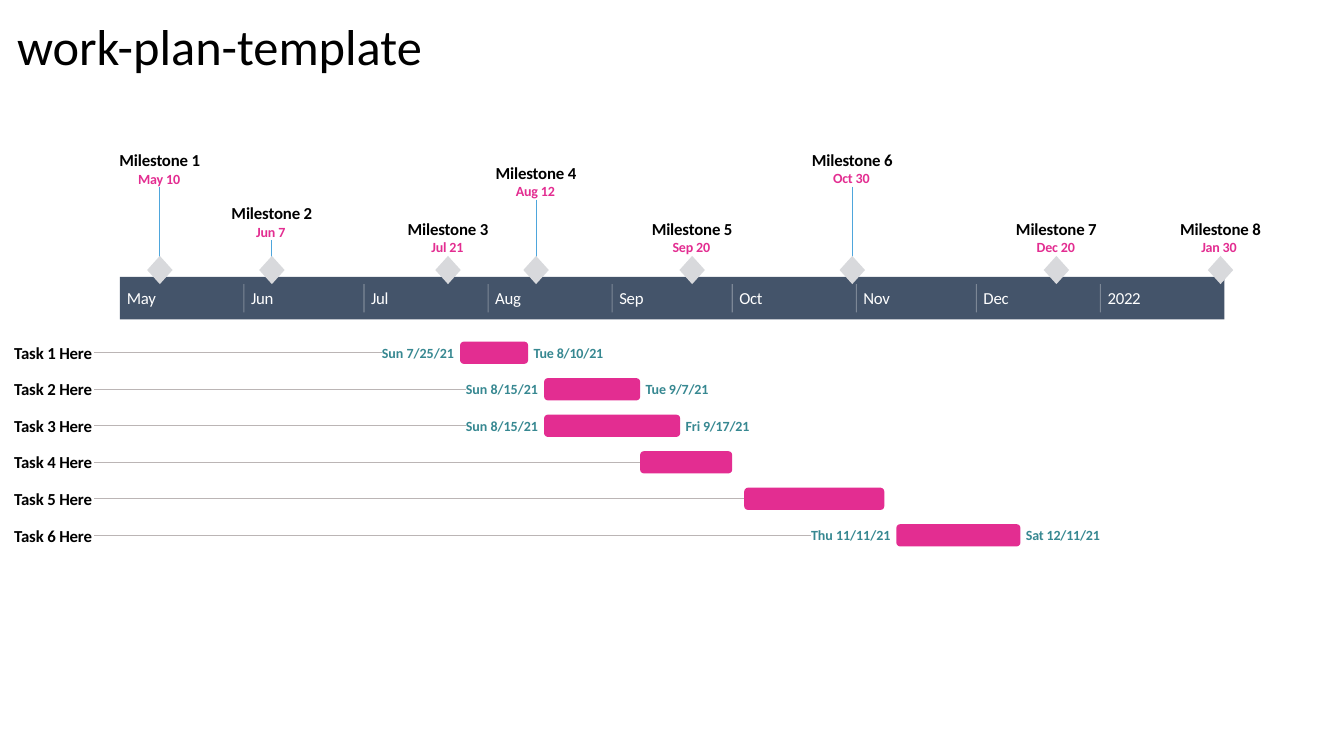
"""Build a work-plan slide with a month band, milestones and task bars."""
import dataclasses
import itertools
import typing

import lxml.etree
import pptx
import pptx.dml.color
import pptx.enum.shapes
import pptx.enum.text
import pptx.oxml.ns
import pptx.util

Cm = pptx.util.Cm
SHAPES = pptx.enum.shapes.MSO_SHAPE
ALIGN = pptx.enum.text.PP_ALIGN

BLACK, WHITE, NAVY = "000000", "FFFFFF", "44546A"
PINK, TEAL, BLUE = "E32D91", "378891", "4EA6DC"
MARKER_GREY, LEADER_GREY = "D8D9DC", "BBB5B5"

BAND_LEFT, BAND_TOP, BAND_WIDTH, BAND_HEIGHT = 3.02, 6.98, 27.84, 1.07
DAY_WIDTH = BAND_WIDTH / 276
MARKER_WIDTH, MARKER_HEIGHT, MARKER_TOP = 0.64, 0.71, 6.45
NAME_HEIGHT, DATE_HEIGHT, TASK_HEIGHT = 0.51, 0.43, 0.56
MILESTONE_WIDTH = 2.08
TASK_LEFT, TASK_WIDTH, TASK_MIDDLE, TASK_STEP = 0.36, 2.01, 8.89, 0.92
DATE_GAP = 0.14


@dataclasses.dataclass
class Month:
    name: str
    days: int
    width: float


@dataclasses.dataclass
class Milestone:
    month: str
    day: int
    width: float
    bottom: float = MARKER_TOP


@dataclasses.dataclass
class DateLabel:
    text: str
    width: float


@dataclasses.dataclass
class Task:
    start: tuple[str, int]
    end: tuple[str, int]
    before: typing.Optional[DateLabel] = None
    after: typing.Optional[DateLabel] = None


MONTHS = [
    Month("May", 31, 0.85), Month("Jun", 30, 0.7), Month("Jul", 31, 0.6),
    Month("Aug", 31, 0.8), Month("Sep", 30, 0.75), Month("Oct", 31, 0.75),
    Month("Nov", 30, 0.8), Month("Dec", 31, 0.8), Month("2022", 31, 1),
]
MONTH_STARTS = dict(zip(
    ["May", "Jun", "Jul", "Aug", "Sep", "Oct", "Nov", "Dec", "Jan"],
    itertools.accumulate((month.days for month in MONTHS), initial=0),
))
MILESTONES = [
    Milestone("May", 10, 1.09, 4.72), Milestone("Jun", 7, 0.79, 6.05),
    Milestone("Jul", 21, 0.84), Milestone("Aug", 12, 1.02, 5.03),
    Milestone("Sep", 20, 0.99), Milestone("Oct", 30, 0.97, 4.7),
    Milestone("Dec", 20, 0.99), Milestone("Jan", 30, 0.97),
]
TASKS = [
    Task(("Jul", 25), ("Aug", 10), DateLabel("Sun 7/25/21", 1.83), DateLabel("Tue 8/10/21", 1.83)),
    Task(("Aug", 15), ("Sep", 7), DateLabel("Sun 8/15/21", 1.83), DateLabel("Tue 9/7/21", 1.65)),
    Task(("Aug", 15), ("Sep", 17), DateLabel("Sun 8/15/21", 1.83), DateLabel("Fri 9/17/21", 1.65)),
    Task(("Sep", 8), ("Sep", 30)),
    Task(("Oct", 4), ("Nov", 7)),
    Task(("Nov", 11), ("Dec", 11), DateLabel("Thu 11/11/21", 2.01), DateLabel("Sat 12/11/21", 1.93)),
]


def color(value: str) -> pptx.dml.color.RGBColor:
    return pptx.dml.color.RGBColor.from_string(value)


def day_start(month: str, day: int) -> float:
    return BAND_LEFT + (MONTH_STARTS[month] + day - 1) * DAY_WIDTH


def add_text(page, text: str, left: float, top: float, width: float, height: float, *,
             size: float = 12, fill: str = BLACK, bold: bool = True, align=ALIGN.LEFT,
             inset: float = 0, wrap: bool = False, spacing: int = -10):
    box = page.shapes.add_textbox(Cm(left), Cm(top), Cm(width), Cm(height))
    frame = box.text_frame
    frame.word_wrap = wrap
    frame.vertical_anchor = pptx.enum.text.MSO_ANCHOR.MIDDLE
    frame.margin_left = frame.margin_right = Cm(inset)
    frame.margin_top = frame.margin_bottom = Cm(inset / 2)
    para = frame.paragraphs[0]
    para.alignment = align
    span = para.add_run()
    span.text = text
    span.font.name = "Calibri"
    span.font.size = pptx.util.Pt(size)
    span.font.bold = bold
    span.font.color.rgb = color(fill)
    span._r.get_or_add_rPr().set("spc", str(spacing))
    return box


def add_block(page, kind, left: float, top: float, width: float, height: float, fill: str):
    block = page.shapes.add_shape(kind, Cm(left), Cm(top), Cm(width), Cm(height))
    block.shadow.inherit = False
    block.fill.solid()
    block.fill.fore_color.rgb = color(fill)
    block.line.fill.background()
    return block


def add_line(page, start: tuple[float, float], end: tuple[float, float], fill: str,
             opacity: int = 100):
    line = page.shapes.add_connector(
        pptx.enum.shapes.MSO_CONNECTOR.STRAIGHT, *map(Cm, start + end))
    line.line.width = pptx.util.Pt(0.75)
    line.line.color.rgb = color(fill)
    qualified = pptx.oxml.ns.qn
    properties = line._element.spPr
    if opacity < 100:
        tint = properties.find(".//" + qualified("a:srgbClr"))
        lxml.etree.SubElement(tint, qualified("a:alpha")).set("val", str(opacity * 1000))
    lxml.etree.SubElement(properties, qualified("a:effectLst"))
    return line


def add_band(page) -> None:
    add_block(page, SHAPES.RECTANGLE, BAND_LEFT, BAND_TOP, BAND_WIDTH, BAND_HEIGHT, NAVY)
    for month, start in zip(MONTHS, MONTH_STARTS.values()):
        left = BAND_LEFT + start * DAY_WIDTH
        add_text(page, month.name, left + 0.18, 7.26, month.width, NAME_HEIGHT,
                 fill=WHITE, bold=False, spacing=-20)
        if start:
            add_line(page, (left, 7.16), (left, 7.87), WHITE, opacity=30)


def add_milestone(page, number: int, milestone: Milestone) -> None:
    center = day_start(milestone.month, milestone.day + 1)
    date_top = milestone.bottom - DATE_HEIGHT
    add_text(page, f"Milestone {number}", center - MILESTONE_WIDTH / 2, date_top - NAME_HEIGHT,
             MILESTONE_WIDTH, NAME_HEIGHT, align=ALIGN.CENTER)
    date = add_text(page, f"{milestone.month} {milestone.day}", center - milestone.width / 2,
                    date_top, milestone.width, DATE_HEIGHT, size=10, fill=PINK)
    if milestone.bottom < MARKER_TOP:
        stem = add_line(page, (center, milestone.bottom),
                        (center, MARKER_TOP + MARKER_HEIGHT / 2), BLUE)
        stem.begin_connect(date, 2)
    add_block(page, SHAPES.DIAMOND, center - MARKER_WIDTH / 2, MARKER_TOP,
              MARKER_WIDTH, MARKER_HEIGHT, MARKER_GREY)


def add_task(page, number: int, task: Task) -> None:
    middle = TASK_MIDDLE + (number - 1) * TASK_STEP
    left = day_start(*task.start)
    right = day_start(*task.end) + DAY_WIDTH
    date_top = middle - DATE_HEIGHT / 2
    name = add_text(page, f"Task {number} Here", TASK_LEFT, middle - NAME_HEIGHT / 2,
                    TASK_WIDTH, NAME_HEIGHT)
    target = add_block(page, SHAPES.ROUNDED_RECTANGLE, left, middle - TASK_HEIGHT / 2,
                       right - left, TASK_HEIGHT, PINK)
    if task.before:
        target = add_text(page, task.before.text, left - DATE_GAP - task.before.width, date_top,
                          task.before.width, DATE_HEIGHT, size=10, fill=TEAL, spacing=0)
    if task.after:
        add_text(page, task.after.text, right + DATE_GAP, date_top,
                 task.after.width, DATE_HEIGHT, size=10, fill=TEAL)
    leader = add_line(page, (TASK_LEFT + TASK_WIDTH, middle), (left, middle), LEADER_GREY)
    leader.begin_connect(name, 3)
    leader.end_connect(target, 1)


def main() -> None:
    deck = pptx.Presentation()
    deck.slide_width, deck.slide_height = Cm(33.87), Cm(19.05)
    page = deck.slides.add_slide(deck.slide_layouts[6])
    add_text(page, "work-plan-template", 0.18, 0.25, 20.55, 1.8, size=36, bold=False,
             inset=0.25, wrap=True, spacing=0)
    add_band(page)
    for number, task in enumerate(TASKS, 1):
        add_task(page, number, task)
    for number, milestone in enumerate(MILESTONES, 1):
        add_milestone(page, number, milestone)
    deck.save("out.pptx")


if __name__ == "__main__":
    main()
